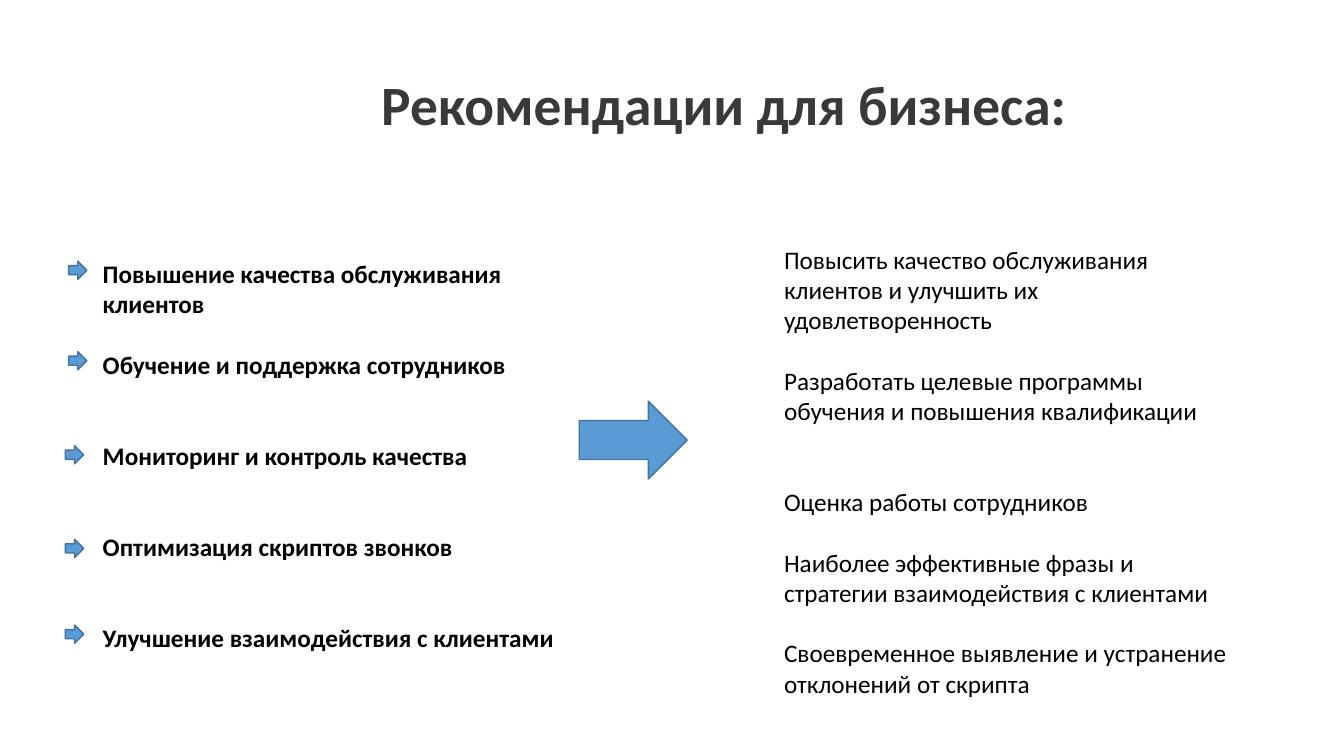
from pptx import Presentation
from pptx import util as u
from pptx.dml.color import RGBColor
from pptx.enum import shapes, text

BLACK = RGBColor(0x00, 0x00, 0x00)
TITLE_GREY = RGBColor(0x3B, 0x38, 0x38)
ARROW_FILL = RGBColor(0x5B, 0x9B, 0xD5)
ARROW_LINE = RGBColor(0x43, 0x73, 0x9E)
FONT = "Calibri"
GAP = 21.7  # height of one text line, in points

# Each item: space before in lines, wording
ACTIONS = [
    (0, "Повышение качества обслуживания клиентов"),
    (1, "Обучение и поддержка сотрудников"),
    (2, "Мониторинг и контроль качества"),
    (2, "Оптимизация скриптов звонков"),
    (2, "Улучшение взаимодействия с клиентами"),
]
RESULTS = [
    (0, "Повысить качество обслуживания клиентов и улучшить их удовлетворенность"),
    (1, "Разработать целевые программы обучения и повышения квалификации"),
    (2, "Оценка работы сотрудников"),
    (1, "Наиболее эффективные фразы и стратегии взаимодействия с клиентами"),
    (1, "Своевременное выявление и устранение отклонений от скрипта"),
]
# Marker offsets from the top left corner of the actions column, in cm
MARKERS = [(0.08, 0.2), (0.08, 2.48), (0, 4.85), (0, 7.21), (0, 9.37)]
MARKER_SIZE = 0.46


def write(p, wording, size=18, bold=False, color=BLACK, before=0):
    r = p.add_run()
    r.text = wording
    r.font.name = FONT
    r.font.size = u.Pt(size)
    r.font.bold = bold
    r.font.color.rgb = color
    p.alignment = text.PP_ALIGN.LEFT
    if before:
        p.space_before = u.Pt(before)


def add_title(s, x, y, w, h):
    sp = s.shapes.title
    sp.left, sp.top, sp.width, sp.height = u.Cm(x), u.Cm(y), u.Cm(w), u.Cm(h)
    tf = sp.text_frame
    tf.auto_size = text.MSO_AUTO_SIZE.NONE
    tf.word_wrap = True
    tf.vertical_anchor = text.MSO_ANCHOR.TOP
    tf.margin_top = u.Cm(0.08)
    p = tf.paragraphs[0]
    p.line_spacing = 0.9
    write(p, "Рекомендации для бизнеса:", size=39.6, bold=True, color=TITLE_GREY)


def add_arrow(s, x, y, w, h):
    sp = s.shapes.add_shape(shapes.MSO_SHAPE.RIGHT_ARROW,
                            u.Cm(x), u.Cm(y), u.Cm(w), u.Cm(h))
    sp.shadow.inherit = False
    sp.fill.solid()
    sp.fill.fore_color.rgb = ARROW_FILL
    sp.line.color.rgb = ARROW_LINE
    sp.line.width = u.Pt(1)


def add_list(s, items, x, y, w, h, bold=False):
    tf = s.shapes.add_textbox(u.Cm(x), u.Cm(y), u.Cm(w), u.Cm(h)).text_frame
    tf.word_wrap = True
    for i, (lines, wording) in enumerate(items):
        p = tf.add_paragraph() if i else tf.paragraphs[0]
        write(p, wording, bold=bold, before=lines * GAP)


def add_actions(s, x, y, w, h):
    """Column of bold items with an arrow marker beside each."""
    indent = 0.69
    add_list(s, ACTIONS, x + indent, y, w - indent, h, bold=True)
    for dx, dy in MARKERS:
        add_arrow(s, x + dx, y + dy, MARKER_SIZE, MARKER_SIZE)


def main():
    prs = Presentation()
    prs.slide_width, prs.slide_height = u.Cm(33.87), u.Cm(19.05)
    s = prs.slides.add_slide(prs.slide_layouts[5])
    add_title(s, 9.35, 1.88, 21.13, 2.11)
    add_actions(s, 1.65, 6.38, 13.8, 11.05)
    add_list(s, RESULTS, 19.51, 6.02, 12.04, 11.79)
    add_arrow(s, 14.6, 10.11, 2.72, 1.96)
    prs.save("out.pptx")


if __name__ == "__main__":
    main()
